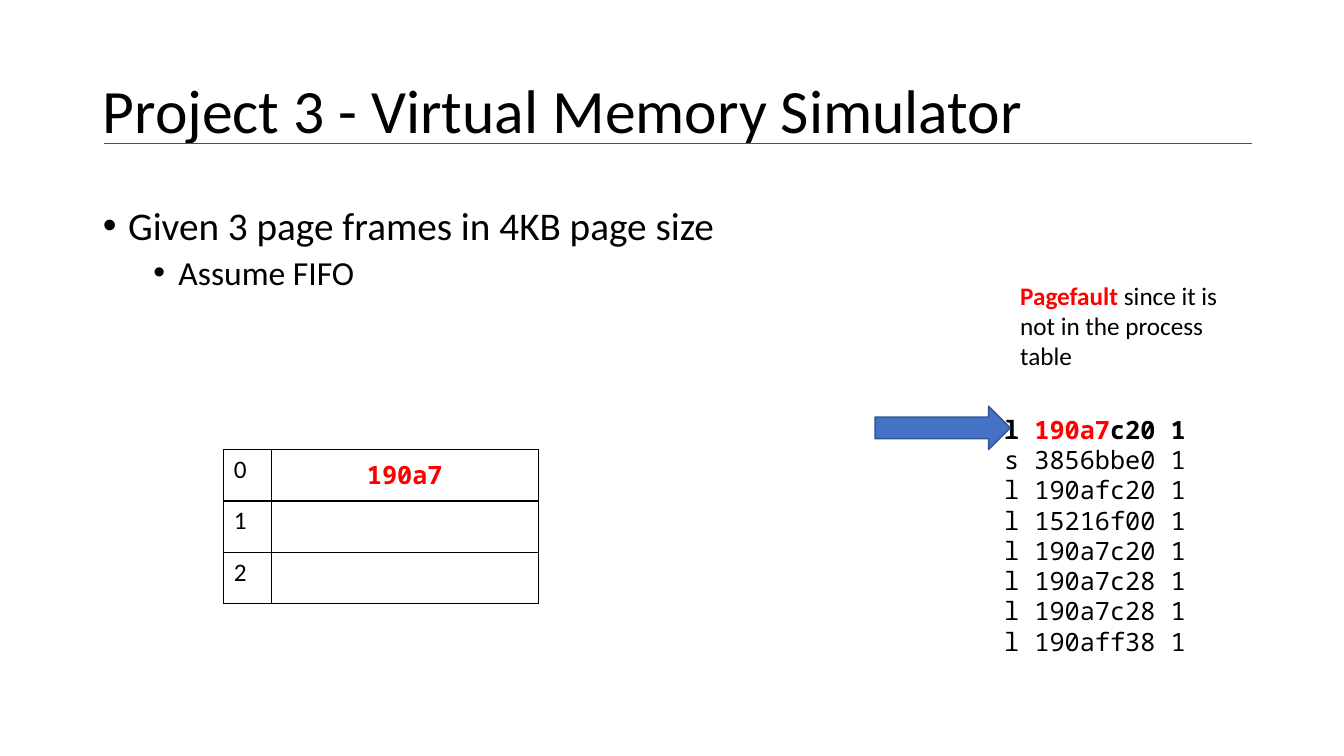
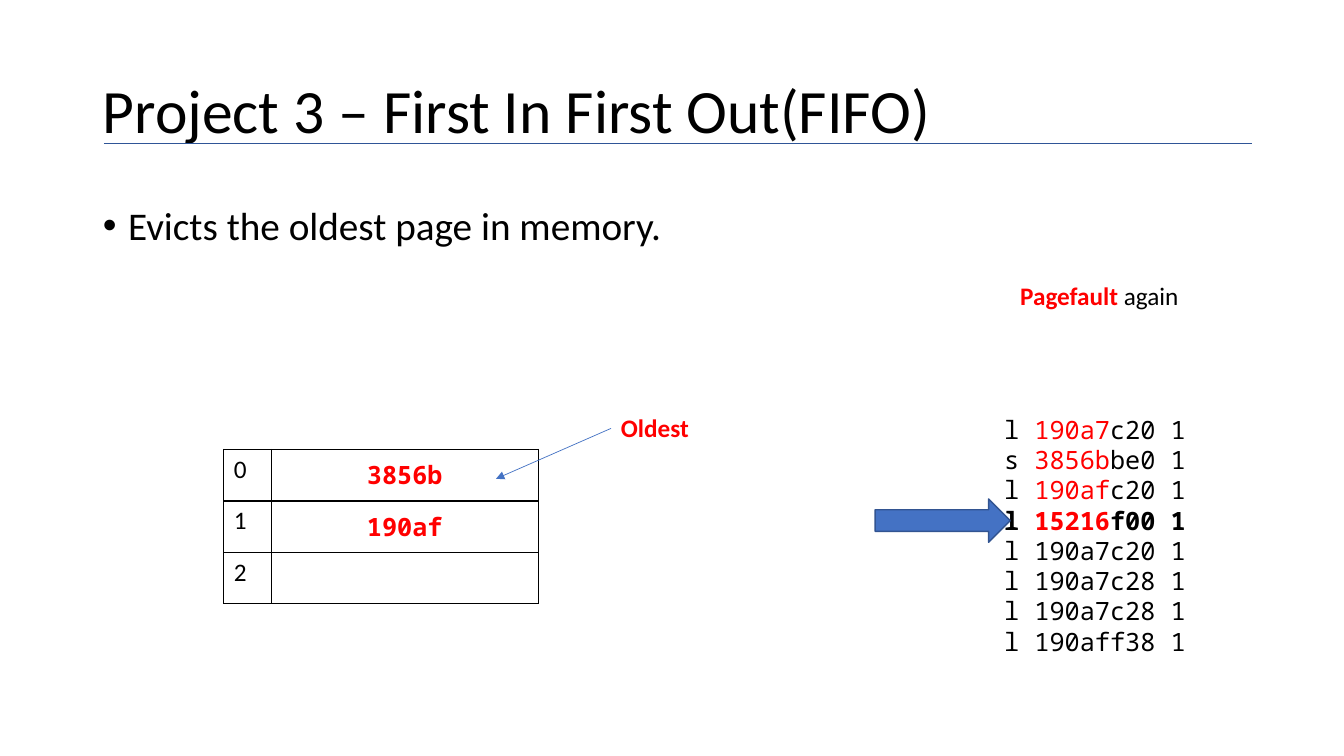
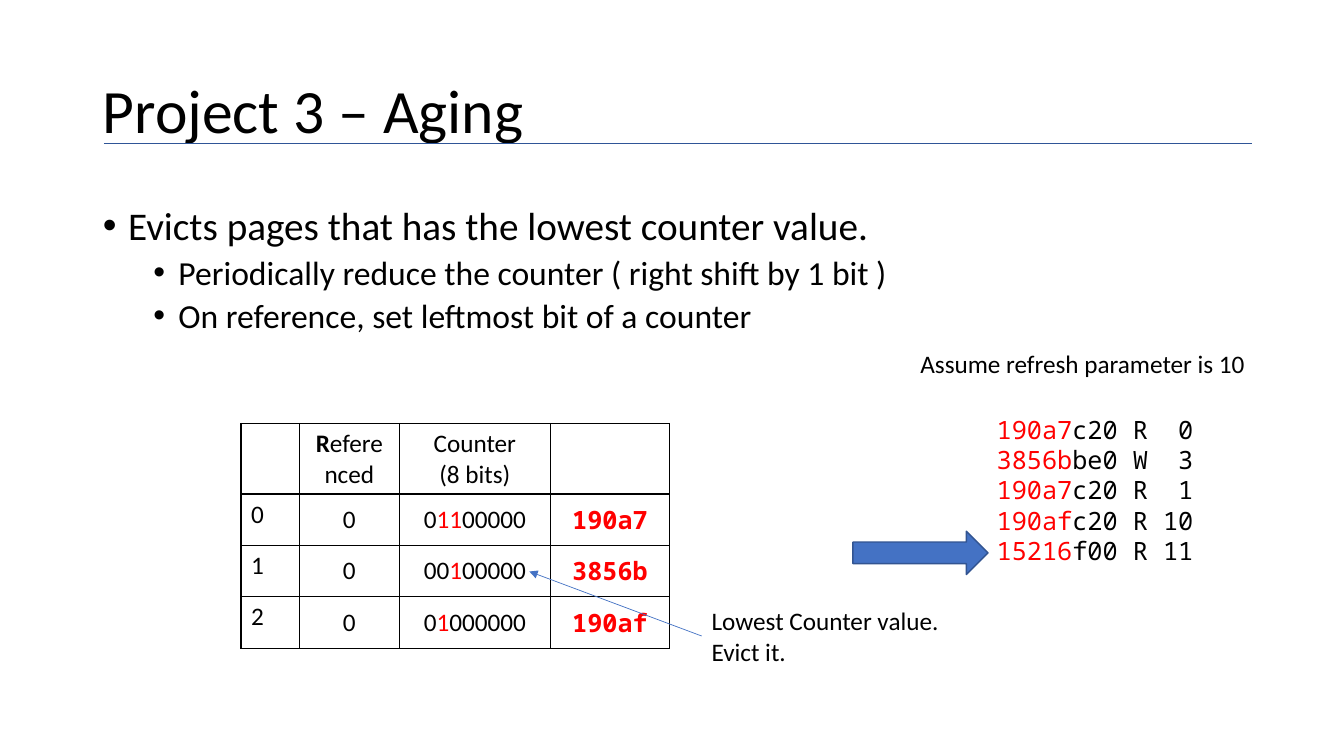
from dataclasses import dataclass, replace

from lxml import etree
from pptx import Presentation
from pptx.dml.color import RGBColor
from pptx.enum.shapes import MSO_CONNECTOR, MSO_SHAPE
from pptx.enum.text import MSO_ANCHOR, MSO_AUTO_SIZE, PP_ALIGN
from pptx.oxml.ns import qn
from pptx.util import Inches, Pt

BLACK = RGBColor(0x00, 0x00, 0x00)
RED = RGBColor(0xFF, 0x00, 0x00)
BLUE = RGBColor(0x44, 0x72, 0xC4)
RULE_BLUE = RGBColor(0x2F, 0x55, 0x97)
OUTLINE_BLUE = RGBColor(0x32, 0x54, 0x91)

LEFT = PP_ALIGN.LEFT
CENTER = PP_ALIGN.CENTER
TOP = MSO_ANCHOR.TOP
MIDDLE = MSO_ANCHOR.MIDDLE
GROW = MSO_AUTO_SIZE.SHAPE_TO_FIT_TEXT
NO_FIT = MSO_AUTO_SIZE.NONE
STRAIGHT = MSO_CONNECTOR.STRAIGHT
RIGHT_ARROW = MSO_SHAPE.RIGHT_ARROW

TITLE_AND_CONTENT = 1
SANS = "Calibri"
MONO = "Noto Sans Mono"
ROW_HEIGHT = 0.51
HEADER_HEIGHT = 0.7
TRACE_LINE_HEIGHT = 0.3


@dataclass(frozen=True)
class TextStyle:
    """Look of a text whose parts between bars are accented."""
    font: str = SANS
    size: int = 18
    align: int = LEFT
    color: RGBColor = BLACK
    bold: bool = False
    accent: RGBColor = RED
    accent_bold: bool = False


TITLE = TextStyle(size=44)
BULLETS = (TextStyle(size=28), TextStyle(size=24))
NOTE = TextStyle(accent_bold=True)
VALUE = TextStyle(align=CENTER)
HEADING = replace(VALUE, accent=BLACK, accent_bold=True)
TRACE = TextStyle(font=MONO, align=CENTER)
PAGE = replace(TRACE, color=RED, bold=True)


def inches(*lengths):
    """Convert several lengths to Inches."""
    return [Inches(length) for length in lengths]


def write_paragraph(paragraph, text, style):
    """Write one line of text, accenting the parts between bars."""
    paragraph.alignment = style.align
    font = paragraph.font
    font.name = style.font
    font.size = Pt(style.size)
    font.bold = style.bold
    font.color.rgb = style.color
    for index, part in enumerate(text.split("|")):
        if not part:
            continue
        run = paragraph.add_run()
        run.text = part
        if index % 2:
            run.font.color.rgb = style.accent
            if style.accent_bold:
                run.font.bold = True


def write_lines(frame, lines, styles):
    """Fill a text frame with one paragraph for each line."""
    for index, (line, style) in enumerate(zip(lines, styles)):
        paragraph = frame.add_paragraph() if index else frame.paragraphs[0]
        write_paragraph(paragraph, line, style)


def add_bullet(paragraph, level):
    """Give a paragraph its level, indent, spacing and bullet."""
    paragraph.level = level
    paragraph.line_spacing = 0.9
    paragraph.space_before = Pt(5 if level else 10)
    properties = paragraph._p.get_or_add_pPr()
    properties.set("marL", str(Inches(0.25 + 0.5 * level)))
    properties.set("indent", str(Inches(-0.25)))
    etree.SubElement(properties, qn("a:buFont"), typeface="Arial")
    etree.SubElement(properties, qn("a:buChar"), char="\u2022")


def add_cell_borders(cell):
    """Draw a black one-point line on every side of a cell."""
    properties = cell._tc.get_or_add_tcPr()
    for side in ("lnL", "lnR", "lnT", "lnB"):
        border = etree.SubElement(properties, qn(f"a:{side}"), w=str(Pt(1)))
        fill = etree.SubElement(border, qn("a:solidFill"))
        etree.SubElement(fill, qn("a:srgbClr"), val=str(BLACK))


class Deck:
    """Holds the presentation, its shared style and the current slide."""

    def __init__(self):
        """Start a widescreen presentation."""
        self.presentation = Presentation()
        self.presentation.slide_width = Inches(13.33)
        self.presentation.slide_height = Inches(7.5)
        self.slide = None

    def add_slide(self, title, bullets, body_height=1.84):
        """Add a slide with a ruled title and (level, text) bullets."""
        layout = self.presentation.slide_layouts[TITLE_AND_CONTENT]
        self.slide = self.presentation.slides.add_slide(layout)
        heading, body = self.slide.placeholders
        self.place(heading, 0.92, 0.4, 11.5, 1.45)
        heading.text_frame.vertical_anchor = MIDDLE
        heading.text_frame.auto_size = NO_FIT
        paragraph = heading.text_frame.paragraphs[0]
        paragraph.line_spacing = 0.9
        write_paragraph(paragraph, title, TITLE)
        self.line((1.03, 1.42), (12.42, 1.42), RULE_BLUE)

        self.place(body, 0.92, 2, 11.5, body_height)
        frame = body.text_frame
        frame.auto_size = NO_FIT
        for index, (level, text) in enumerate(bullets):
            paragraph = frame.add_paragraph() if index else frame.paragraphs[0]
            add_bullet(paragraph, level)
            write_paragraph(paragraph, text, BULLETS[level])

    def place(self, shape, left, top, width, height):
        """Move and size a shape."""
        shape.left, shape.top, shape.width, shape.height = inches(
            left, top, width, height)

    def line(self, start, end, color, arrow=False):
        """Draw a thin line, with an arrowhead at its end if wanted."""
        connector = self.slide.shapes.add_connector(
            STRAIGHT, *inches(*start, *end))
        connector.line.color.rgb = color
        connector.line.width = Pt(0.5)
        properties = connector.element.spPr
        if arrow:
            outline = properties.find(qn("a:ln"))
            etree.SubElement(outline, qn("a:tailEnd"), type="triangle")
        etree.SubElement(properties, qn("a:effectLst"))

    def text(self, box, lines, styles, wrap=True):
        """Add a text box that grows with its lines."""
        frame = self.slide.shapes.add_textbox(*inches(*box)).text_frame
        frame.word_wrap = wrap
        frame.auto_size = GROW
        write_lines(frame, lines, styles)

    def note(self, box, text, style=NOTE, wrap=True):
        """Add a one-paragraph remark."""
        self.text(box, [text], [style], wrap)

    def trace(self, lines, current=None):
        """List memory accesses, with the current one in bold."""
        height = TRACE_LINE_HEIGHT * len(lines) + 0.12
        styles = [replace(TRACE, bold=index == current)
                  for index in range(len(lines))]
        self.text((8.82, 4.06, 4.08, height), lines, styles)

    def pointer(self, left, top):
        """Add the block arrow that points at a memory access."""
        arrow = self.slide.shapes.add_shape(
            RIGHT_ARROW, *inches(left, top, 1.34, 0.43))
        arrow.shadow.inherit = False
        arrow.fill.solid()
        arrow.fill.fore_color.rgb = BLUE
        arrow.line.color.rgb = OUTLINE_BLUE
        arrow.line.width = Pt(1)

    def frame_table(self, left, top, widths, rows, header=None):
        """Add a page frame table: numbers first, pages last."""
        heights = [ROW_HEIGHT] * len(rows)
        if header:
            rows, heights = [header] + rows, [HEADER_HEIGHT] + heights
        table = self.slide.shapes.add_table(
            len(rows), len(widths),
            *inches(left, top, sum(widths), sum(heights))).table
        table.first_row = False
        table.horz_banding = False
        for column, width in zip(table.columns, widths):
            column.width = Inches(width)
        styles = [TextStyle()] + [VALUE] * (len(widths) - 2) + [PAGE]
        for row, height, values in zip(table.rows, heights, rows):
            row.height = Inches(height)
            for index, (cell, value) in enumerate(zip(row.cells, values)):
                add_cell_borders(cell)
                cell.fill.background()
                cell.vertical_anchor = MIDDLE if index else TOP
                style = HEADING if values is header else styles[index]
                lines = value.split("\n")
                write_lines(cell.text_frame, lines, [style] * len(lines))

    def fifo_table(self, pages):
        """Add the three-frame table for FIFO."""
        rows = [(str(index), page) for index, page in enumerate(pages)]
        self.frame_table(2.22, 4.46, (0.47, 2.65), rows)


def main():
    """Build and save the slides."""
    deck = Deck()
    upcoming = ["l 190a7c20 1", "l 190a7c28 1", "l 190a7c28 1", "l 190aff38 1"]

    deck.add_slide("Project 3 - Virtual Memory Simulator",
                   [(0, "Given 3 page frames in 4KB page size"),
                    (1, "Assume FIFO")], body_height=4.61)
    deck.trace(["l |190a7|c20 1", "s 3856bbe0 1", "l 190afc20 1",
                "l 15216f00 1"] + upcoming, current=0)
    deck.fifo_table(["190a7", "", ""])
    deck.pointer(8.68, 4.03)
    deck.note((10.02, 2.73, 2.28, 1.01),
              "|Pagefault| since it is not in the process table")

    deck.add_slide("Project 3 – First In First Out(FIFO)",
                   [(0, "Evicts the oldest page in memory.")])
    deck.trace(["l |190a7|c20 1", "s |3856b|be0 1", "l |190af|c20 1",
                "l |15216|f00 1"] + upcoming, current=3)
    deck.fifo_table(["3856b", "190af", ""])
    deck.pointer(8.68, 4.95)
    deck.note((10.02, 2.73, 2.28, 0.4), "|Pagefault| again")
    deck.note((6.06, 4.04, 2.28, 0.4), "|Oldest|")
    deck.line((6.06, 4.25), (4.92, 4.75), BLUE, arrow=True)

    deck.add_slide("Project 3 – Aging",
                   [(0, "Evicts pages that has the lowest counter value. "),
                    (1, "Periodically reduce the counter "
                        "( right shift by 1 bit )"),
                    (1, "On reference, set leftmost bit of a counter")])
    accesses = [("190a7", "c20 R", 0), ("3856b", "be0 W", 3),
                ("190a7", "c20 R", 1), ("190af", "c20 R", 10),
                ("15216", "f00 R", 11)]
    deck.trace([f"|{page}|{access} {time:>2}"
                for page, access, time in accesses])
    deck.frame_table(2.39, 4.2, (0.58, 0.99, 1.5, 1.18),
                     [("0", "0", "0|11|00000", "190a7"),
                      ("1", "0", "00|1|00000", "3856b"),
                      ("2", "0", "0|1|000000", "190af")],
                     header=("", "|R|eferenced", "Counter\n(8 bits)", ""))
    deck.line((6.96, 6.31), (5.25, 5.67), BLUE, arrow=True)
    deck.note((6.96, 5.96, 2.5, 0.71), "Lowest Counter value. Evict it.")
    deck.pointer(8.46, 5.27)
    deck.note((9.03, 3.41, 3.46, 0.4), "Assume refresh parameter is 10",
              wrap=False)

    deck.presentation.save("out.pptx")


main()
